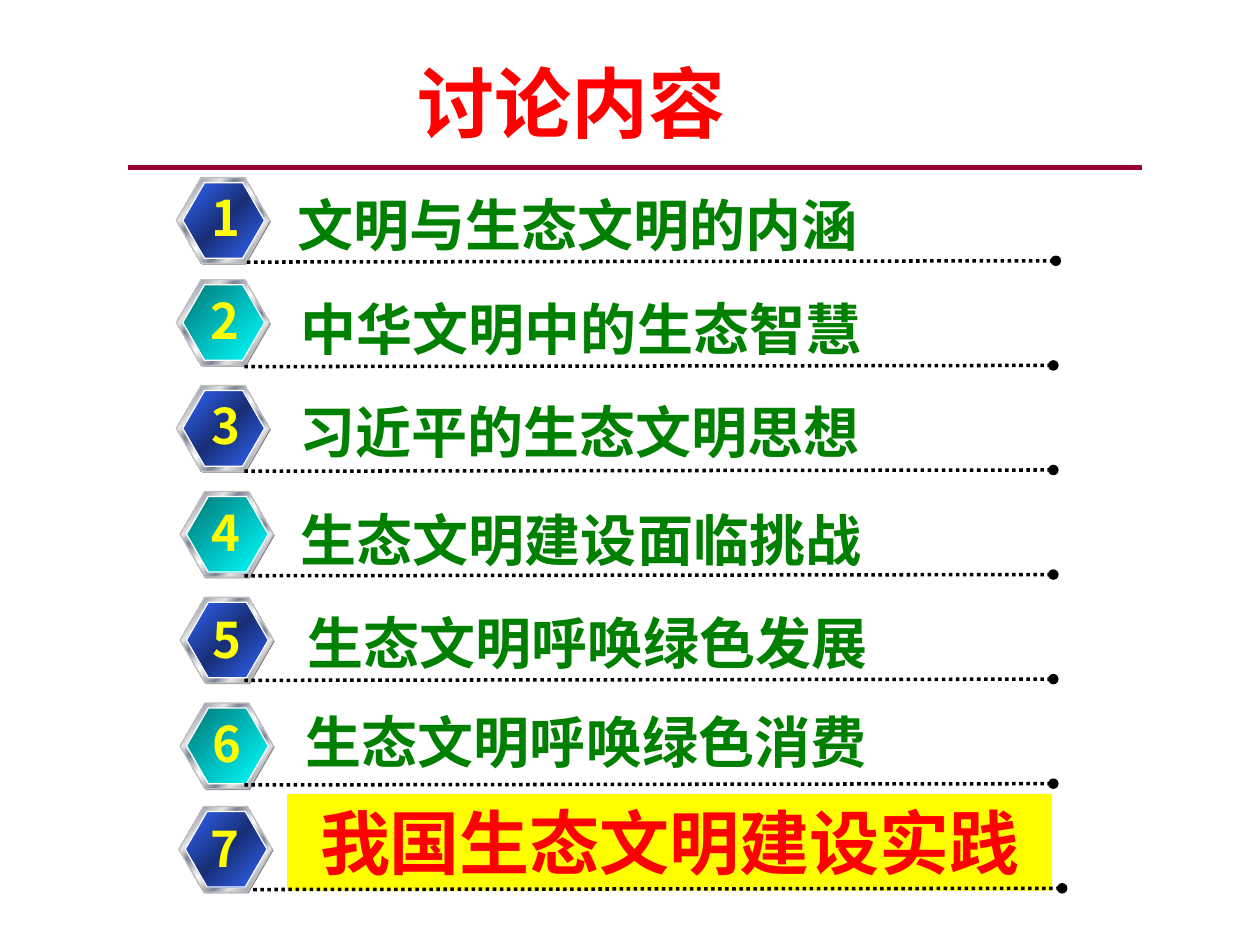
from dataclasses import dataclass

from lxml import etree
from pptx import Presentation
from pptx import util as u
from pptx.dml import color
from pptx.enum import dml, shapes, text
from pptx.oxml import ns

FONT = "Noto Sans CJK SC"
FIRST_TOP, PITCH = 1.41, 0.83
BADGE_LEFT, LABEL_LEFT = 1.4, 2.28
STEEL = [(0, "E6E6E6"), (8, "7D8496"), (26, "E6E6E6"), (34, "7D8496"),
         (46, "E6E6E6"), (50, "FFFFFF"), (54, "E6E6E6"), (66, "7D8496"),
         (74, "E6E6E6"), (92, "7D8496"), (100, "E6E6E6")]
BLUE = [(0, "3366FF"), (50, "182F76"), (100, "3366FF")]
TEAL = [(0, "007676"), (100, "00FFFF")]


@dataclass
class Topic:
    label: str
    label_shift: tuple
    badge_shift: tuple
    digit_shift: tuple
    rule_shift: float = 0


TOPICS = [
    Topic("文明与生态文明的内涵", (-0.02, 0.05), (0, 0), (0.18, 0.03), 0.02),
    Topic("中华文明中的生态智慧", (0.01, 0.05), (0, -0.02), (0.17, 0.04)),
    Topic("习近平的生态文明思想", (0, 0.04), (0, -0.01), (0.18, 0.03)),
    Topic("生态文明建设面临挑战", (0.01, 0.06), (0.03, 0), (0.15, 0.04)),
    Topic("生态文明呼唤绿色发展", (0.06, 0.05), (0.03, 0.01), (0.16, 0.05)),
    Topic("生态文明呼唤绿色消费", (0.05, 0.01), (0.03, 0.02), (0.16, 0.03)),
    Topic("我国生态文明建设实践", (0, -0.09), (0.02, 0.01), (0.15, 0.05), 0.07),
]


def rgb(value):
    return color.RGBColor.from_string(value)


def inches(*lengths):
    return [u.Inches(length) for length in lengths]


def write(shape, words, size, ink, align=None, wrap=True, grow=True):
    frame = shape.text_frame
    frame.word_wrap = wrap
    frame.vertical_anchor = text.MSO_ANCHOR.TOP
    if grow:
        frame.auto_size = text.MSO_AUTO_SIZE.SHAPE_TO_FIT_TEXT
    para = frame.paragraphs[0]
    para.text = words
    para.alignment = align
    font = para.font
    font.name, font.size, font.bold = FONT, u.Pt(size), True
    font.color.rgb = rgb(ink)
    properties = para._p.pPr.find(ns.qn("a:defRPr"))
    etree.SubElement(properties, ns.qn("a:ea"), typeface=FONT)


def add_text(page, box, *args, **options):
    write(page.shapes.add_textbox(*inches(*box)), *args, **options)


def add_rule(page, start, end, ink, width, dotted=False):
    rule = page.shapes.add_connector(
        shapes.MSO_CONNECTOR.STRAIGHT, *inches(*start, *end))
    rule.line.color.rgb = rgb(ink)
    rule.line.width = u.Pt(width)
    if dotted:
        rule.line.dash_style = dml.MSO_LINE.ROUND_DOT
        etree.SubElement(rule.line._get_or_add_ln(), ns.qn("a:tailEnd"), type="oval")
    etree.SubElement(rule._element.spPr, ns.qn("a:effectLst"))


def fill_gradient(shape, stops):
    shape.fill.gradient()
    shape.fill.gradient_angle = 315
    stop_list = shape._element.spPr.find(".//" + ns.qn("a:gsLst"))
    for old in list(stop_list):
        stop_list.remove(old)
    for position, ink in stops:
        stop = etree.SubElement(stop_list, ns.qn("a:gs"), pos=str(position * 1000))
        etree.SubElement(stop, ns.qn("a:srgbClr"), val=ink)


def add_hexagon(page, box, fill, edge=None):
    hexagon = page.shapes.add_shape(shapes.MSO_SHAPE.HEXAGON, *inches(*box))
    hexagon.shadow.inherit = False
    hexagon.adjustments[0] = 0.289
    hexagon.adjustments[1] = 1.155
    if isinstance(fill, str):
        hexagon.fill.solid()
        hexagon.fill.fore_color.rgb = rgb(fill)
    else:
        fill_gradient(hexagon, fill)
    if edge:
        hexagon.line.color.rgb = rgb(edge)
        hexagon.line.width = u.Pt(0.75)
    else:
        hexagon.line.fill.background()


def add_badge(page, left, top, number, digit_shift):
    add_hexagon(page, (left + 0.01, top + 0.01, 0.74, 0.68), "808080")
    add_hexagon(page, (left, top, 0.74, 0.68), STEEL, "C0C0C0")
    add_hexagon(page, (left + 0.05, top + 0.04, 0.65, 0.6),
                BLUE if number % 2 else TEAL, "FFFFFF")
    across, down = digit_shift
    add_text(page, (left + across, top + down, 0.4, 0.57), str(number), 28,
             "FFFF00", text.PP_ALIGN.CENTER, wrap=False)


def add_highlight(page, box, words):
    band = page.shapes.add_shape(shapes.MSO_SHAPE.RECTANGLE, *inches(*box))
    band.shadow.inherit = False
    band.fill.solid()
    band.fill.fore_color.rgb = rgb("FFFF00")
    band.line.fill.background()
    write(band, words, 40, "FF0000", text.PP_ALIGN.CENTER)


def add_topic(page, top, number, topic):
    left = LABEL_LEFT + topic.label_shift[0]
    label_top = top + topic.label_shift[1]
    if number == len(TOPICS):
        add_highlight(page, (left, label_top, 6.07, 0.77), topic.label)
    else:
        add_text(page, (left, label_top, 6.1, 0.64), topic.label, 32, "008000")
    across, down = topic.badge_shift
    add_badge(page, BADGE_LEFT + across, top + down, number, topic.digit_shift)
    start = 1.94 + topic.rule_shift
    add_rule(page, (start, top + 0.67), (start + 6.42, top + 0.66),
             "000000", 2, dotted=True)


def add_heading(page):
    add_rule(page, (1.02, 1.33), (9.06, 1.33), "990033", 3)
    add_text(page, (0.11, 0.39, 9, 1.25), "讨论内容 ", 44, "FF0000",
             text.PP_ALIGN.CENTER, grow=False)


def main():
    deck = Presentation()
    deck.slide_width, deck.slide_height = inches(10, 7.5)
    page = deck.slides.add_slide(deck.slide_layouts[6])
    add_heading(page)
    for index, topic in enumerate(TOPICS):
        add_topic(page, FIRST_TOP + index * PITCH, index + 1, topic)
    deck.save("out.pptx")


if __name__ == "__main__":
    main()
